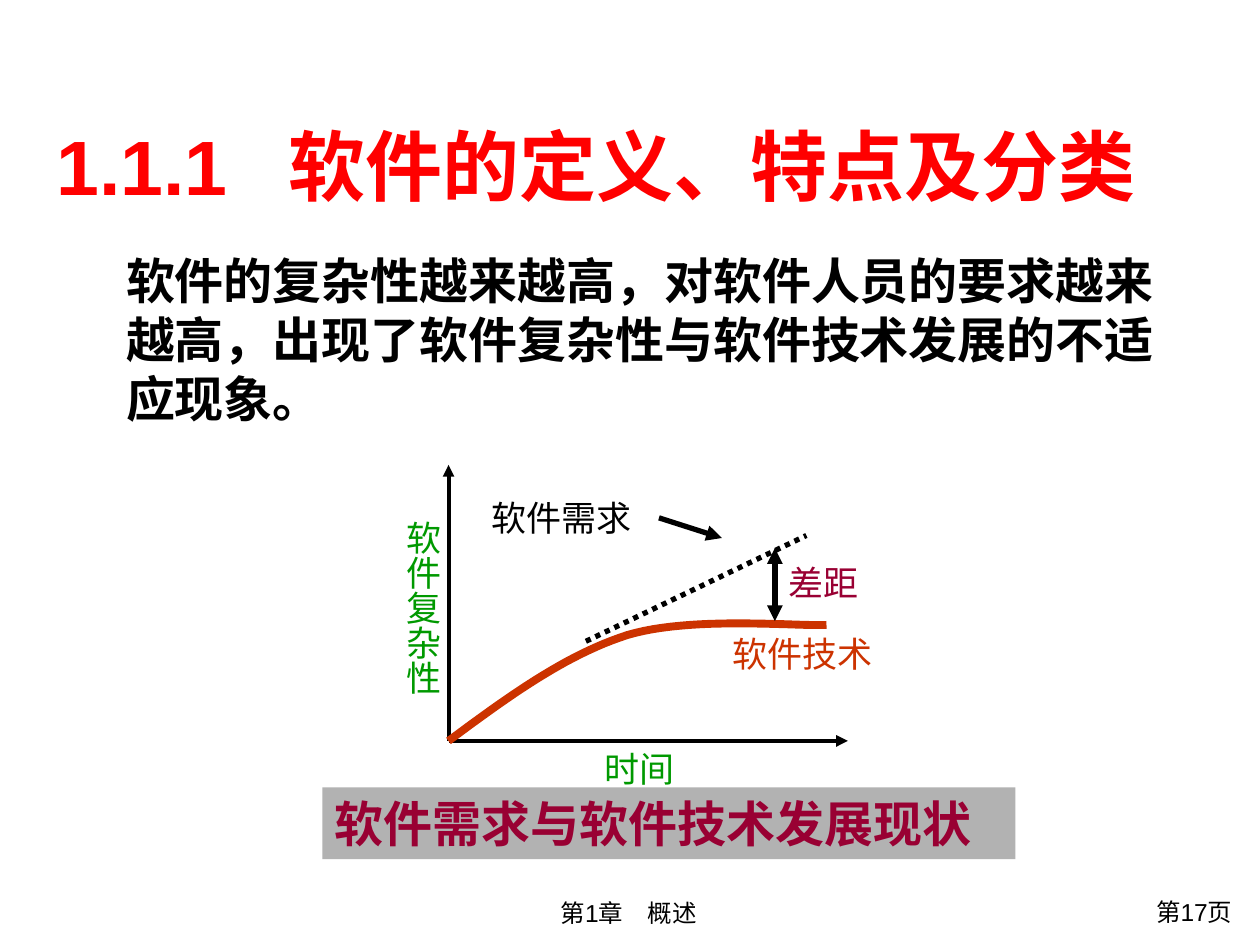
import lxml.etree
import pptx
import pptx.dml.color
import pptx.enum.dml
import pptx.enum.shapes
import pptx.enum.text
import pptx.oxml.ns
import pptx.util

theme = {
    "font": "Arial",
    "black": "000000", "red": "FF0000", "green": "009900",
    "wine": "990033", "rust": "CC3300", "gray": "B2B2B2",
    "title": 44, "body": 28, "label": 20, "foot": 14,
    "axis": 2.25, "mark": 3, "curve": 4.5,
}
qn = pptx.oxml.ns.qn
color = pptx.dml.color.RGBColor.from_string
align = pptx.enum.text.PP_ALIGN
anchor = pptx.enum.text.MSO_ANCHOR

deck = pptx.Presentation()
deck.slide_width = pptx.util.Inches(10)
deck.slide_height = pptx.util.Inches(7.5)
col = deck.slide_width / 100
row = deck.slide_height / 75
slide = deck.slides.add_slide(deck.slide_layouts[1])
shapes = slide.shapes


def write(shape, box, text, size, ink, bold=False, side=align.LEFT, pad=(1, 0.5)):
    shape.left, shape.width = int(box[0] * col), int(box[2] * col)
    shape.top, shape.height = int(box[1] * row), int(box[3] * row)
    frame = shape.text_frame
    frame.text = text
    frame.word_wrap = True
    frame.auto_size = pptx.enum.text.MSO_AUTO_SIZE.NONE
    frame.vertical_anchor = anchor.TOP
    frame.margin_left = frame.margin_right = int(pad[0] * col)
    frame.margin_top = frame.margin_bottom = int(pad[1] * row)
    para = frame.paragraphs[0]
    para.alignment = side
    para.space_before = pptx.util.Pt(0)
    for run in para.runs:
        run.font.name = theme["font"]
        run.font.size = pptx.util.Pt(theme[size])
        run.font.bold = bold
        run.font.color.rgb = color(theme[ink])
    return frame


def draw(start, end, width, tips=(), dash=None):
    wire = shapes.add_connector(
        pptx.enum.shapes.MSO_CONNECTOR.STRAIGHT,
        int(start[0] * col), int(start[1] * row), int(end[0] * col), int(end[1] * row))
    wire.line.color.rgb = color(theme["black"])
    wire.line.width = pptx.util.Pt(theme[width])
    if dash:
        wire.line.dash_style = dash
    props = wire._element.spPr
    for tip in tips:
        lxml.etree.SubElement(props.find(qn("a:ln")), qn(tip), type="triangle")
    lxml.etree.SubElement(props, qn("a:effectLst"))


title = write(shapes.title, (3.5, 8.3, 90, 9.5), "1.1.1\t软件的定义、特点及分类",
              "title", "red", True)
title.vertical_anchor = anchor.MIDDLE
props = title.paragraphs[0]._p.get_or_add_pPr()
tabs = lxml.etree.SubElement(props, qn("a:tabLst"))
lxml.etree.SubElement(tabs, qn("a:tab"), pos=str(int(18.4 * col)), algn="l")

body = write(slide.placeholders[1], (9, 19.4, 84.5, 15),
             "软件的复杂性越来越高，对软件人员的要求越来越高，出现了软件复杂性与软件技术发展的不适应现象。",
             "body", "black", True)
props = body.paragraphs[0]._p.get_or_add_pPr()
props.set("marL", "0")
props.set("indent", "0")
lxml.etree.SubElement(props, qn("a:buNone"))

tail = ("a:tailEnd",)
left, base = 35.6, 58.8
draw((left, base), (left, 36.9), "axis", tail)
draw((left, base), (67.3, base), "axis", tail)

side = write(shapes.add_textbox(0, 0, 0, 0), (30.4, 40.3, 5.3, 16.9),
             "软件复杂性", "label", "green", pad=(0.5, 1))
side._txBody.find(qn("a:bodyPr")).set("vert", "eaVert")

curves = [
    [(left, base), (40.2, 55.4), (44.8, 52), (49.8, 50.4)],
    [(49.8, 50.4), (54.8, 48.9), (63, 49.7), (65.6, 49.6)],
]
steps = 24
points = []
for curve in curves:
    for step in range(1, steps + 1):
        t = step / steps
        parts = ((1 - t) ** 3, 3 * t * (1 - t) ** 2, 3 * t * t * (1 - t), t ** 3)
        x, y = (sum(p * q for p, q in zip(parts, axis)) for axis in zip(*curve))
        points.append((int(x * col), int(y * row)))
path = shapes.build_freeform(int(left * col), int(base * row))
path.add_line_segments(points, close=False)
trend = path.convert_to_shape()
trend.shadow.inherit = False
trend.fill.background()
trend.line.color.rgb = color(theme["rust"])
trend.line.width = pptx.util.Pt(theme["curve"])

draw((46.5, 50.9), (64, 42.5), "mark", dash=pptx.enum.dml.MSO_LINE.ROUND_DOT)
draw((61.5, 43.5), (61.5, 49.3), "mark", ("a:headEnd", "a:tailEnd"))
draw((52.3, 41.1), (57.3, 42.7), "mark", tail)

labels = [
    ("差距", 62.6, 44.6, 7.5, "wine"),
    ("软件需求", 39, 39.4, 14.2, "black"),
    ("时间", 48, 59.3, 7.5, "green"),
    ("软件技术", 58.1, 50.2, 14.2, "rust"),
]
for text, x, y, wide, ink in labels:
    write(shapes.add_textbox(0, 0, 0, 0), (x, y, wide, 3.3), text, "label", ink, pad=(0, 0))

banner = shapes.add_shape(pptx.enum.shapes.MSO_SHAPE.RECTANGLE, 0, 0, 0, 0)
banner.shadow.inherit = False
banner.fill.solid()
banner.fill.fore_color.rgb = color(theme["gray"])
banner.line.fill.background()
write(banner, (25.6, 62.5, 55, 5.7), "软件需求与软件技术发展现状", "body", "wine", True)

write(shapes.add_textbox(0, 0, 0, 0), (23.5, 70.8, 52.8, 3.4), "第1章　概述",
      "foot", "black", side=align.CENTER)
write(shapes.add_textbox(0, 0, 0, 0), (85.4, 70.7, 13.4, 3.7), "第17页",
      "foot", "black", side=align.RIGHT)

deck.save("out.pptx")
